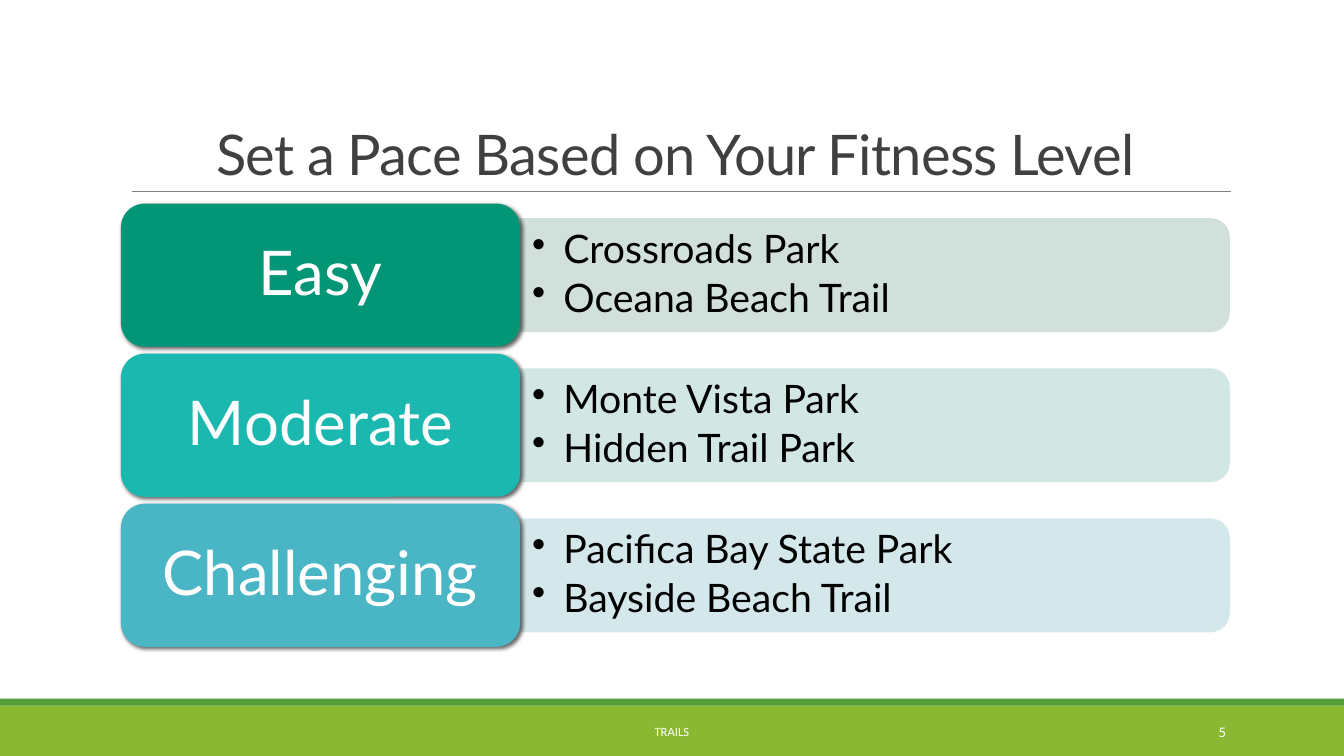
from dataclasses import dataclass

from lxml.etree import SubElement
from pptx import Presentation
from pptx.dml.color import RGBColor
from pptx.enum.shapes import MSO_CONNECTOR as Connector, MSO_SHAPE as Preset
from pptx.enum.text import MSO_ANCHOR as Anchor, PP_ALIGN as Align
from pptx.oxml.ns import qn
from pptx.util import Inches, Pt

COLORS = {
    "white": "FFFFFF", "black": "000000", "title": "404040", "rule": "808080",
    "footer": "8AB833", "stripe": "549E39",
    "easy": "029676", "easy_pale": "CCDDD6",
    "moderate": "1BB8B0", "moderate_pale": "CEE4E1",
    "challenging": "4AB5C4", "challenging_pale": "D0E6EA",
}
WIDTH, HEIGHT = Inches(13.33), Inches(7.5)
COLUMN, ROW = WIDTH / 100, HEIGHT / 100


@dataclass(frozen=True)
class Area:
    left: float
    top: float
    width: float
    height: float

    def place(self) -> tuple[int, int, int, int]:
        return (round(self.left * COLUMN), round(self.top * ROW),
                round(self.width * COLUMN), round(self.height * ROW))


@dataclass(frozen=True)
class Style:
    size: float
    color: str
    font: str = "Lato"
    align: Align = Align.LEFT
    line: float = 1.0
    after: float = 0
    tracking: int = 0
    bullet: bool = False


@dataclass(frozen=True)
class Level:
    name: str
    color: str
    trails: tuple[str, ...]


@dataclass(frozen=True)
class Label:
    text: str
    area: Area
    style: Style
    anchor: Anchor


LEVELS = (
    Level("Easy", "easy", ("Crossroads Park", "Oceana Beach Trail")),
    Level("Moderate", "moderate", ("Monte Vista Park", "Hidden Trail Park")),
    Level("Challenging", "challenging",
          ("Pacifica Bay State Park", "Bayside Beach Trail")),
)
LABELS = (
    Label("Set a Pace Based on Your Fitness Level", Area(9, 4.13, 82.5, 21.2),
          Style(40, "title", align=Align.CENTER, line=0.85, tracking=-50),
          Anchor.BOTTOM),
    Label("TRAILS", Area(30.23, 94.13, 39.53, 5.33),
          Style(9, "white", "Calibri", Align.CENTER), Anchor.MIDDLE),
    Label("5", Area(81.23, 94.13, 10.73, 5.33),
          Style(10.5, "white", "Calibri", Align.RIGHT), Anchor.MIDDLE),
)
BARS = (("footer", Area(0, 93.33, 100, 6.67)), ("stripe", Area(0, 92.4, 100, 0.93)))
LEVEL_STYLE = Style(44, "white", align=Align.CENTER, line=0.9)
TRAIL_STYLE = Style(28, "black", line=0.9, after=4.2, bullet=True)
CARD_LEFT, CARD_WIDTH, CARD_HEIGHT = 9, 29.7, 18.93
PANEL_LEFT, PANEL_WIDTH, PANEL_HEIGHT = 38.7, 52.8, 15.07
TRAILS_WIDTH, TRAILS_HEIGHT = 52.36, 13.6
FIRST_MIDDLE, PITCH = 36.4, 19.85


def rgb(name: str) -> RGBColor:
    return RGBColor.from_string(COLORS[name])


def add_filled(page, preset: Preset, area: Area, color: str):
    shape = page.shapes.add_shape(preset, *area.place())
    shape.shadow.inherit = False
    shape.fill.solid()
    shape.fill.fore_color.rgb = rgb(color)
    shape.line.fill.background()
    return shape


def add_alpha(color_parent, percent: int) -> None:
    SubElement(color_parent.find(qn("a:srgbClr")), qn("a:alpha"), val=str(percent * 1000))


def add_shadow(shape) -> None:
    effects = shape.element.spPr.find(qn("a:effectLst"))
    shadow = SubElement(effects, qn("a:outerShdw"), blurRad=str(Pt(3)),
                        dist=str(Pt(2)), dir=str(45 * 60000), rotWithShape="0")
    SubElement(shadow, qn("a:srgbClr"), val=COLORS["black"])
    add_alpha(shadow, 60)


def write(box, lines: tuple[str, ...], style: Style, anchor: Anchor,
          inset: tuple[float, float] = (0.1, 0.05)) -> None:
    frame = box.text_frame
    frame.word_wrap = True
    frame.vertical_anchor = anchor
    frame.margin_left = frame.margin_right = Inches(inset[0])
    frame.margin_top = frame.margin_bottom = Inches(inset[1])
    for index, line in enumerate(lines):
        para = frame.add_paragraph() if index else frame.paragraphs[0]
        para.alignment = style.align
        para.line_spacing = style.line
        para.space_after = Pt(style.after)
        if style.bullet:
            para.level = 1
            props = para._p.get_or_add_pPr()
            props.set("marL", str(Inches(0.31)))
            props.set("indent", str(Inches(-0.31)))
            SubElement(props, qn("a:buChar"), char="•")
        span = para.add_run()
        span.text = line
        span.font.name = style.font
        span.font.size = Pt(style.size)
        span.font.color.rgb = rgb(style.color)
        if style.tracking:
            span._r.get_or_add_rPr().set("spc", str(style.tracking))


def add_rule(page) -> None:
    height = round(25.33 * ROW)
    rule = page.shapes.add_connector(Connector.STRAIGHT, round(9.83 * COLUMN), height,
                                     round(91.6 * COLUMN), height)
    rule.line.color.rgb = rgb("rule")
    rule.line.width = Pt(0.5)
    SubElement(rule.element.spPr, qn("a:effectLst"))


def add_panel(page, middle: float, color: str) -> None:
    across, along = PANEL_HEIGHT * ROW / COLUMN, PANEL_WIDTH * COLUMN / ROW
    center = PANEL_LEFT + PANEL_WIDTH / 2
    area = Area(center - across / 2, middle - along / 2, across, along)
    panel = add_filled(page, Preset.ROUND_2_SAME_RECTANGLE, area, color)
    panel.rotation = 90
    add_alpha(panel.element.spPr.find(qn("a:solidFill")), 90)


def add_level(page, level: Level, middle: float) -> None:
    add_panel(page, middle, f"{level.color}_pale")
    trails = Area(PANEL_LEFT, middle - TRAILS_HEIGHT / 2, TRAILS_WIDTH, TRAILS_HEIGHT)
    box = page.shapes.add_textbox(*trails.place())
    write(box, level.trails, TRAIL_STYLE, Anchor.MIDDLE, (0.12, 0.06))
    area = Area(CARD_LEFT, middle - CARD_HEIGHT / 2, CARD_WIDTH, CARD_HEIGHT)
    card = add_filled(page, Preset.ROUNDED_RECTANGLE, area, level.color)
    add_shadow(card)
    write(card, (level.name,), LEVEL_STYLE, Anchor.MIDDLE, (0.18, 0.09))


def main() -> None:
    deck = Presentation()
    deck.slide_width, deck.slide_height = WIDTH, HEIGHT
    page = deck.slides.add_slide(deck.slide_layouts[6])
    for color, area in BARS:
        add_filled(page, Preset.RECTANGLE, area, color)
    add_rule(page)
    for index, level in enumerate(LEVELS):
        add_level(page, level, FIRST_MIDDLE + index * PITCH)
    for label in LABELS:
        box = page.shapes.add_textbox(*label.area.place())
        write(box, (label.text,), label.style, label.anchor)
    deck.save("out.pptx")


if __name__ == "__main__":
    main()
